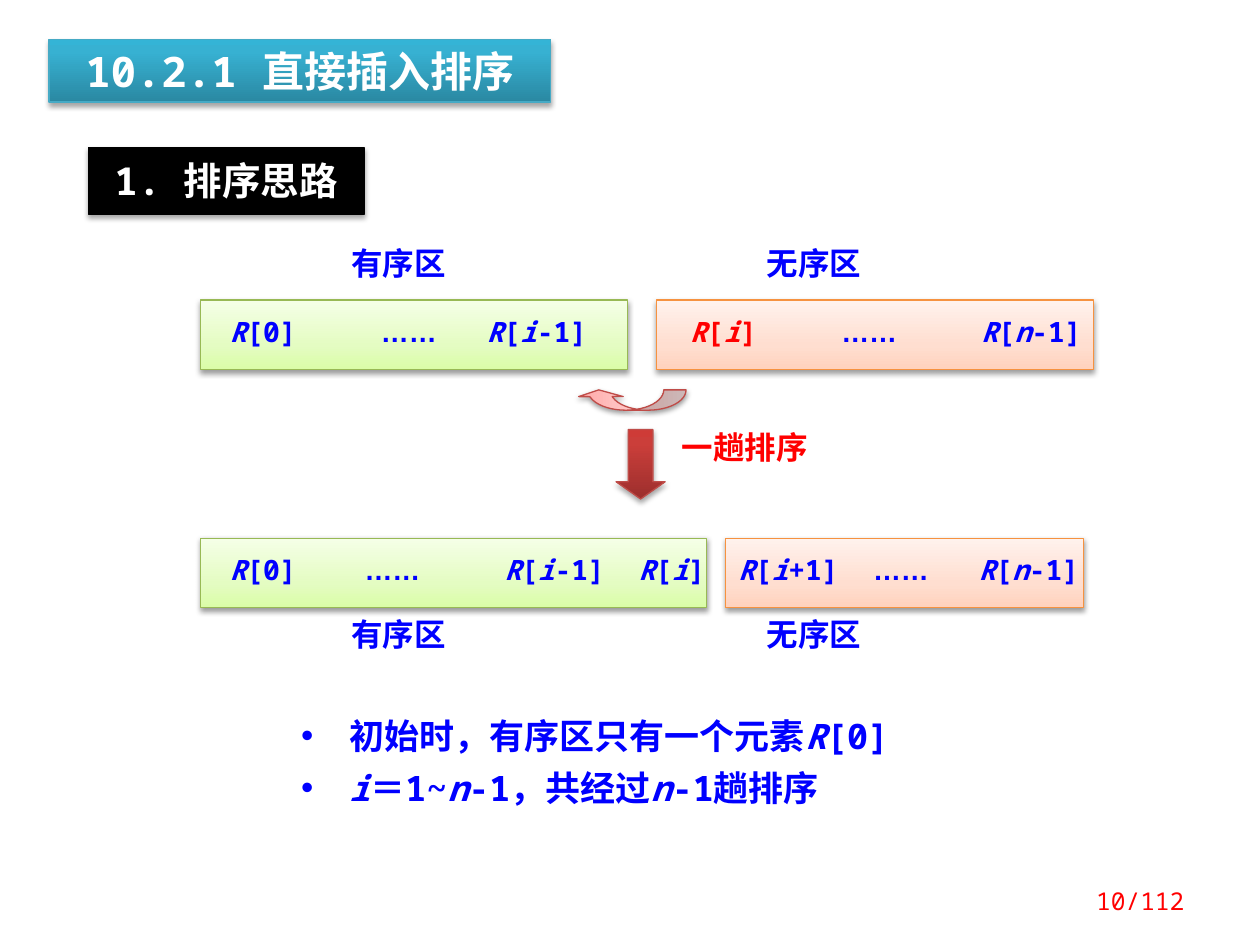
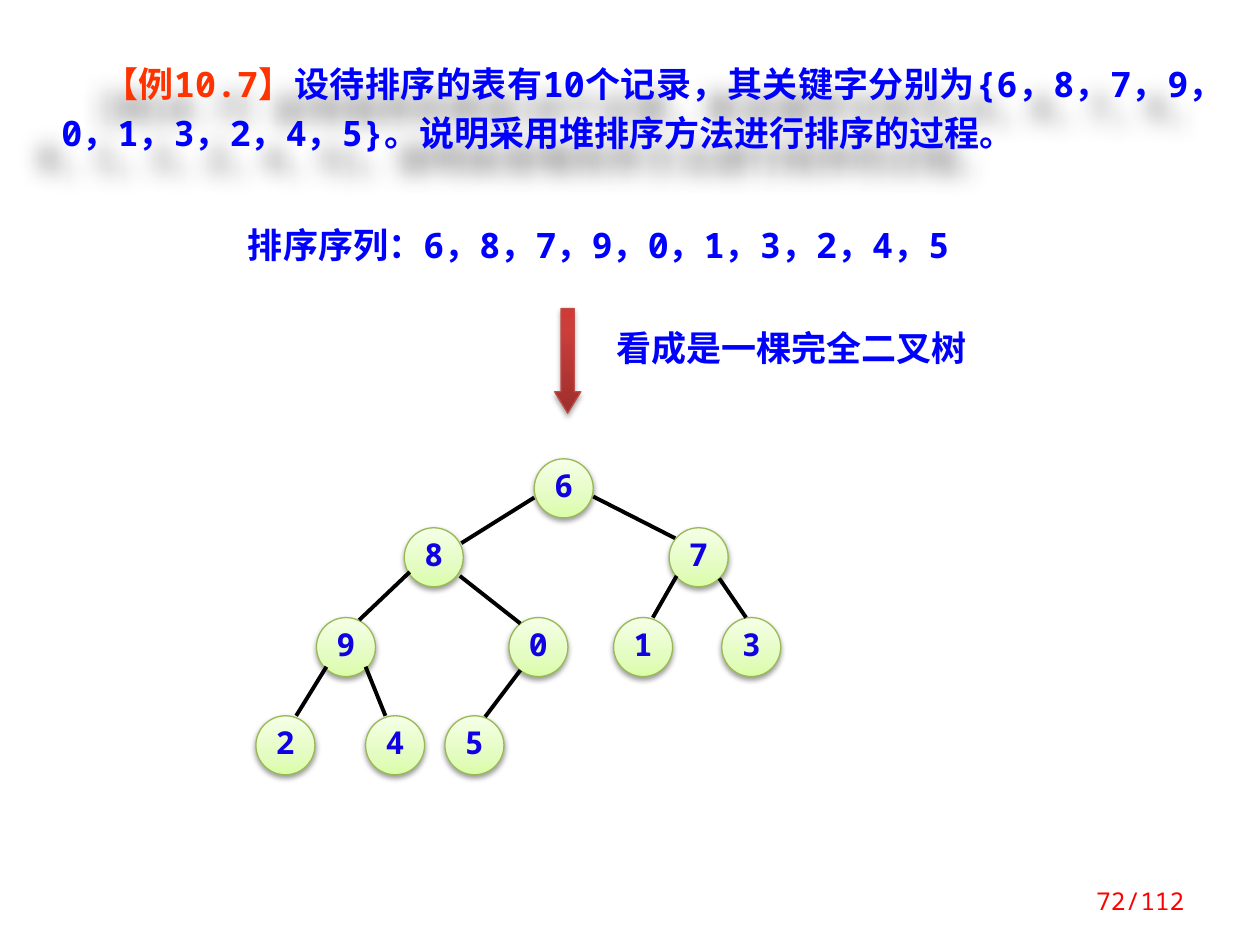
"""Build two slides on insertion sort and heap sort."""
import lxml.etree as etree
import pptx
import pptx.dml.color
import pptx.enum.shapes
import pptx.enum.text
import pptx.oxml.ns
import pptx.util

Cm = pptx.util.Cm
Pt = pptx.util.Pt
qn = pptx.oxml.ns.qn
RGBColor = pptx.dml.color.RGBColor
SHAPES = pptx.enum.shapes.MSO_SHAPE
ALIGN = pptx.enum.text.PP_ALIGN
ANCHOR = pptx.enum.text.MSO_ANCHOR
MONO, CJK = "Noto Sans Mono", "Noto Sans CJK SC"

COLORS = {
    "blue": "0000FF", "node": "1000E4", "red": "FF0000", "orange": "FF3300",
    "white": "FFFFFF", "black": "000000",
}
STRONG_SHADOW = (35, 3.1, 1.8, 90)
SOFT_SHADOW = (38, 3.1, 1.6, 90)
THEMES = {
    "title": ([(0, "2A88A2"), (80, "37B1D2"), (100, "34B4D6")], "46AAC5", STRONG_SHADOW),
    "heading": ([(0, "000000"), (100, "000000")], "000000", STRONG_SHADOW),
    "sorted": ([(0, "DAFDA7"), (35, "E4FCC2"), (100, "F5FFE7")], "98B955", SOFT_SHADOW),
    "unsorted": ([(0, "FFD2BD"), (35, "FFDED0"), (100, "FFF2ED")], "F69240", SOFT_SHADOW),
    "move": ([(0, "FFA6A5"), (35, "FFC0BF"), (100, "FFE7E7")], "BF4C48", SOFT_SHADOW),
    "step": ([(0, "9C2F2D"), (80, "CB3E3A"), (100, "CE3B37")], "BF4C48", STRONG_SHADOW),
    "example": ([], None, (43, 12, 19.4, 135)),
}


def decorate(shape, theme):
    stops, line_color, (alpha, blur, distance, direction) = THEMES[theme]
    if stops:
        shape.fill.gradient()
        shape.fill.gradient_angle = 90
        stop_list = shape._element.spPr.find(".//" + qn("a:gsLst"))
        for stop in list(stop_list):
            stop_list.remove(stop)
        for position, color in stops:
            stop = etree.SubElement(stop_list, qn("a:gs"), pos=str(position * 1000))
            etree.SubElement(stop, qn("a:srgbClr"), val=color)
        shape.line.color.rgb = RGBColor.from_string(line_color)
        shape.line.width = Pt(0.75)
    shape.shadow.inherit = False
    effects = shape._element.spPr.find(qn("a:effectLst"))
    shadow = etree.SubElement(
        effects, qn("a:outerShdw"), blurRad=str(Pt(blur)), dist=str(Pt(distance)),
        dir=str(direction * 60000), algn="ctr", rotWithShape="0")
    color = etree.SubElement(shadow, qn("a:srgbClr"), val=COLORS["black"])
    etree.SubElement(color, qn("a:alpha"), val=str(alpha * 1000))


def write(paragraph, text, size, color="blue", font=MONO, bold=True):
    for index, part in enumerate(text.split("*")):
        if part:
            run = paragraph.add_run()
            run.text = part
            values = {"name": font, "size": Pt(size), "bold": bold, "italic": index % 2 == 1}
            for name, value in values.items():
                setattr(run.font, name, value)
            run.font.color.rgb = RGBColor.from_string(COLORS[color])
            east_asian = font if font == "Arial" else CJK
            etree.SubElement(run._r.get_or_add_rPr(), qn("a:ea"), typeface=east_asian)


presentation = pptx.Presentation()
presentation.slide_width, presentation.slide_height = Cm(25.4), Cm(19.05)
insertion_slide = presentation.slides.add_slide(presentation.slide_layouts[5])
heap_slide = presentation.slides.add_slide(presentation.slide_layouts[6])

title = insertion_slide.shapes.title
heading = insertion_slide.shapes.add_shape(
    SHAPES.RECTANGLE, Cm(1.78), Cm(2.97), Cm(5.56), Cm(1.35))
title_box = {"left": Cm(0.99), "top": Cm(0.79), "width": Cm(10.11), "height": Cm(1.27)}
for name, value in title_box.items():
    setattr(title, name, value)
for shape, theme, text, size, inset in (
    (title, "title", "10.2.1 直接插入排序", 24, 0.13),
    (heading, "heading", "1. 排序思路", 22, 0.2),
):
    decorate(shape, theme)
    frame_format = {
        "auto_size": pptx.enum.text.MSO_AUTO_SIZE.NONE, "word_wrap": True,
        "vertical_anchor": ANCHOR.TOP, "margin_top": Cm(inset), "margin_bottom": Cm(inset),
    }
    for name, value in frame_format.items():
        setattr(shape.text_frame, name, value)
    paragraph = shape.text_frame.paragraphs[0]
    paragraph.alignment = ALIGN.CENTER
    write(paragraph, text, size, "white")

records = (
    ("sorted", 4.04, 6.05, 8.61, 0.59,
     ((0, "*R*[0]"), (3.05, "……"), (5.18, "*R*[*i*-1]"))),
    ("unsorted", 13.23, 6.05, 8.81, 0.68,
     ((0, "*R*[*i*]"), (3.05, "……"), (5.87, "*R*[*n*-1]"))),
    ("sorted", 4.04, 10.85, 10.21, 0.59,
     ((0, "*R*[0]"), (2.72, "……"), (5.54, "*R*[*i*-1]"), (8.24, "*R*[*i*]"))),
    ("unsorted", 14.63, 10.85, 7.21, 0.25,
     ((0, "*R*[*i*+1]"), (2.72, "……"), (4.85, "*R*[*n*-1]"))),
)
for theme, left, top, width, inset, columns in records:
    shape = insertion_slide.shapes.add_shape(
        SHAPES.RECTANGLE, Cm(left), Cm(top), Cm(width), Cm(1.4))
    decorate(shape, theme)
    frame_format = {
        "word_wrap": True, "vertical_anchor": ANCHOR.MIDDLE,
        "margin_left": Cm(inset), "margin_right": 0,
    }
    for name, value in frame_format.items():
        setattr(shape.text_frame, name, value)
    paragraph = shape.text_frame.paragraphs[0]
    paragraph.alignment = ALIGN.LEFT
    paragraph.line_spacing = 0.8
    tabs = etree.SubElement(paragraph._p.get_or_add_pPr(), qn("a:tabLst"))
    for position, text in columns:
        if position:
            etree.SubElement(tabs, qn("a:tab"), pos=str(Cm(position)), algn="l")
            text = "\t" + text
        color = "red" if text == "*R*[*i*]" else "blue"
        write(paragraph, text, 16, color, "Arial" if "…" in text else MONO)

arrows = (
    (insertion_slide, SHAPES.CURVED_LEFT_ARROW, "move", (12.52, 6.96, 0.41, 2.21),
     90, (1.097, 2.193, 0.333)),
    (insertion_slide, SHAPES.DOWN_ARROW, "step", (12.42, 8.66, 0.99, 1.4), 0, (0.5, 0.351)),
    (heap_slide, SHAPES.DOWN_ARROW, "step", (11.18, 6.22, 0.53, 2.11), 0, (0.5, 0.814)),
)
for slide, kind, theme, box, rotation, adjustments in arrows:
    shape = slide.shapes.add_shape(kind, *map(Cm, box))
    shape.rotation = rotation
    for index, value in enumerate(adjustments):
        shape.adjustments[index] = value
    decorate(shape, theme)

labels = [
    (insertion_slide, (left, top, 3.2, 0.86), text, 18, "blue", MONO)
    for top in (4.95, 12.42) for left, text in ((6.83, "有序区"), (15.21, "无序区"))
]
labels += [
    (insertion_slide, (13.49, 8.66, 4.04, 0.86), "一趟排序", 18, "red", CJK),
    (heap_slide, (4.75, 4.55, 16.66, 0.94),
     "排序序列：6，8，7，9，0，1，3，2，4，5", 20, "blue", MONO),
    (heap_slide, (12.17, 6.63, 10.01, 0.94), "看成是一棵完全二叉树", 20, "blue", CJK),
]
for slide, box, text, size, color, font in labels:
    label = slide.shapes.add_textbox(*map(Cm, box))
    label.text_frame.word_wrap = True
    paragraph = label.text_frame.paragraphs[0]
    paragraph.line_spacing = 0.8
    write(paragraph, text, size, color, font)

notes_box = insertion_slide.shapes.add_textbox(Cm(5.56), Cm(14.1), Cm(13.49), Cm(2.54))
notes_box.fill.solid()
notes_box.fill.fore_color.rgb = RGBColor.from_string(COLORS["white"])
frame = notes_box.text_frame
frame_format = {
    "word_wrap": True, "margin_left": Cm(0.51), "margin_top": Cm(0.3), "margin_bottom": Cm(0.3),
}
for name, value in frame_format.items():
    setattr(frame, name, value)
points = ("初始时，有序区只有一个元素*R*[0]", "*i*＝1~*n*-1，共经过*n*-1趟排序")
for index, text in enumerate(points):
    paragraph = frame.add_paragraph() if index else frame.paragraphs[0]
    if index:
        paragraph.space_before = Pt(6)
    properties = paragraph._p.get_or_add_pPr()
    properties.set("marL", str(Cm(0.97)))
    properties.set("indent", str(-Cm(0.97)))
    etree.SubElement(properties, qn("a:buFont"), typeface="Arial")
    etree.SubElement(properties, qn("a:buChar"), char="•")
    write(paragraph, text, 20)

example = heap_slide.shapes.add_textbox(Cm(0.99), Cm(0.99), Cm(23.93), Cm(2.26))
decorate(example, "example")
example.text_frame.word_wrap = True
paragraph = example.text_frame.paragraphs[0]
paragraph.alignment = ALIGN.JUSTIFY
paragraph.line_spacing = Pt(28)
paragraph._p.get_or_add_pPr().set("indent", str(Cm(0.84)))
write(paragraph, "【例10.7】", 20, "orange")
write(paragraph, "设待排序的表有10个记录，其关键字分别为{6，8，7，9，0，1，3，2，4，5}。"
      "说明采用堆排序方法进行排序的过程。", 20)

tree_levels = (
    (9.25, ((10.77, "6"),)),
    (10.64, ((8.15, "8"), (13.49, "7"))),
    (12.45, ((6.38, "9"), (10.26, "0"), (12.37, "1"), (14.55, "3"))),
    (14.43, ((5.16, "2"), (7.37, "4"), (8.97, "5"))),
)
for top, nodes in tree_levels:
    for left, key in nodes:
        node = heap_slide.shapes.add_shape(
            SHAPES.OVAL, Cm(left), Cm(top), Cm(1.19), Cm(1.19))
        decorate(node, "sorted")
        node.text_frame.word_wrap = False
        node.text_frame.vertical_anchor = ANCHOR.MIDDLE
        paragraph = node.text_frame.paragraphs[0]
        paragraph.alignment = ALIGN.CENTER
        paragraph.line_spacing = 0.8
        write(paragraph, key, 18, "node")

tree_edges = (
    (10.77, 10.03, 9.3, 10.95), (11.96, 10.01, 13.61, 10.85),
    (8.26, 11.53, 7.24, 12.5), (9.27, 11.61, 10.49, 12.57),
    (13.64, 11.61, 13.16, 12.45), (14.5, 11.66, 15.04, 12.45),
    (6.58, 13.44, 5.97, 14.43), (7.37, 13.44, 7.77, 14.43),
    (10.49, 13.51, 9.78, 14.45),
)
for ends in tree_edges:
    edge = heap_slide.shapes.add_connector(
        pptx.enum.shapes.MSO_CONNECTOR.STRAIGHT, *map(Cm, ends))
    edge.line.color.rgb = RGBColor.from_string(COLORS["black"])
    edge.line.width = Pt(2.25)
    etree.SubElement(edge._element.spPr, qn("a:effectLst"))

for slide, number in ((insertion_slide, 10), (heap_slide, 72)):
    footer = slide.shapes.add_textbox(Cm(21.03), Cm(17.65), Cm(3.1), Cm(1.02))
    footer.text_frame.word_wrap = True
    footer.text_frame.vertical_anchor = ANCHOR.MIDDLE
    paragraph = footer.text_frame.paragraphs[0]
    paragraph.alignment = ALIGN.RIGHT
    write(paragraph, f"{number}/112", 14, "red", bold=False)

presentation.save("out.pptx")
